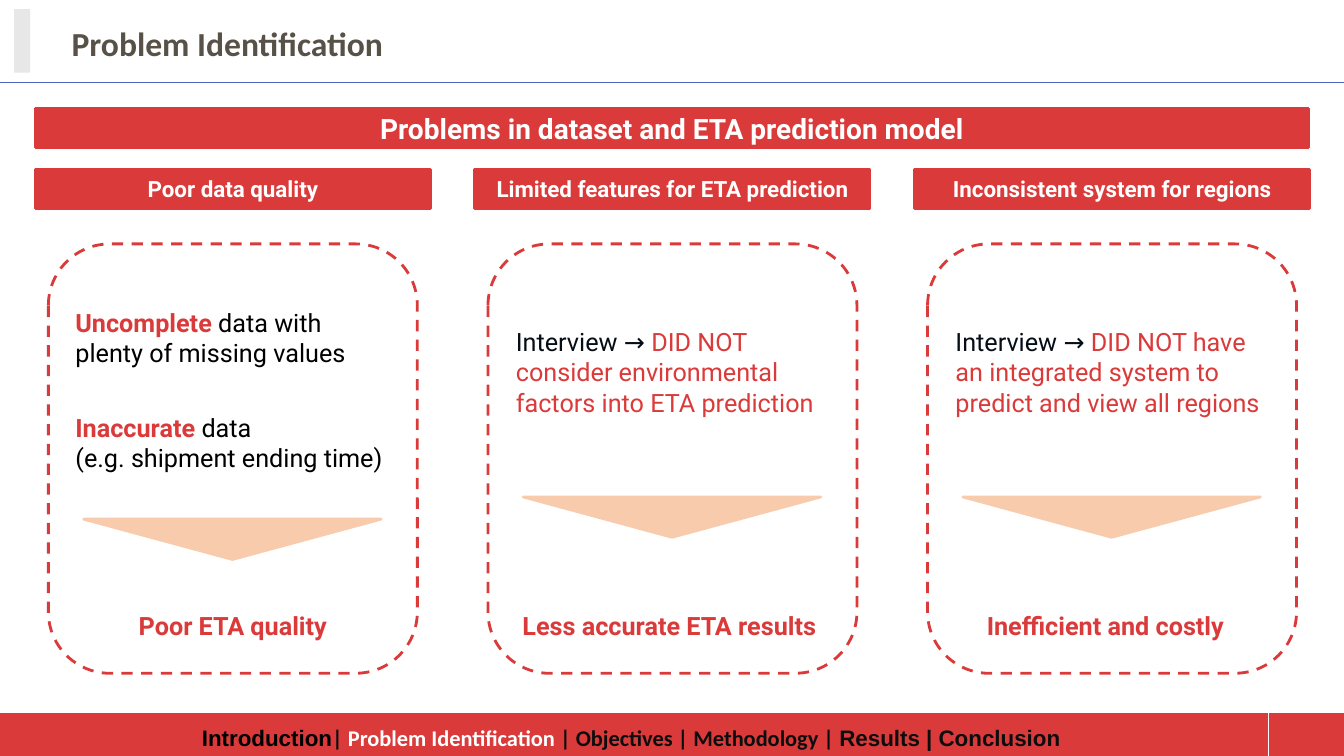
from pptx import Presentation
from pptx.dml.color import RGBColor
from pptx.enum.dml import MSO_LINE
from pptx.enum.shapes import MSO_CONNECTOR, MSO_SHAPE
from pptx.enum.text import MSO_ANCHOR, PP_ALIGN
from pptx.oxml.ns import qn
from pptx.util import Pt
from lxml import etree

RECTANGLE = MSO_SHAPE.RECTANGLE
ROUNDED = MSO_SHAPE.ROUNDED_RECTANGLE
TRIANGLE = MSO_SHAPE.ISOSCELES_TRIANGLE
STRAIGHT = MSO_CONNECTOR.STRAIGHT
DASH = MSO_LINE.DASH
TOP, MIDDLE = MSO_ANCHOR.TOP, MSO_ANCHOR.MIDDLE
LEFT, CENTER = PP_ALIGN.LEFT, PP_ALIGN.CENTER

PX = 9144
COLORS = {
    "red": "DA3B3A",
    "statement": "DA3A3A",
    "peach": "F8CBAD",
    "grey": "E7E7E7",
    "blue": "4D61BF",
    "title": "585147",
    "ink": "050E17",
    "footer": "0D0D0D",
    "black": "000000",
    "white": "FFFFFF",
}


class SlideBuilder:
    """Holds the slide and its style, and adds each kind of element."""

    def __init__(self, slide):
        self.slide = slide

    def color(self, name):
        return RGBColor.from_string(COLORS[name])

    def place(self, box):
        return [length * PX for length in box]

    def add_runs(self, frame, runs, size, align=LEFT):
        paragraph = frame.paragraphs[0]
        paragraph.alignment = align
        for text, color, bold, font in runs:
            if text == "\n":
                paragraph.add_line_break()
                continue
            run = paragraph.add_run()
            run.text = text
            run.font.name = font
            run.font.size = Pt(size)
            run.font.bold = bold
            run.font.color.rgb = self.color(color)

    def title(self, box, text):
        title = self.slide.shapes.title
        title.left, title.top, title.width, title.height = self.place(box)
        title.text_frame.vertical_anchor = MIDDLE
        self.add_runs(title.text_frame, [(text, "title", True, "Calibri")], 24)

    def shape(self, kind, box, fill=None, line=None, dash=None, rotation=0):
        shape = self.slide.shapes.add_shape(kind, *self.place(box))
        shape.shadow.inherit = False
        shape.rotation = rotation
        if fill:
            shape.fill.solid()
            shape.fill.fore_color.rgb = self.color(fill)
        else:
            shape.fill.background()
        if line:
            shape.line.color.rgb = self.color(line)
            shape.line.width = Pt(2)
            shape.line.dash_style = dash
        else:
            shape.line.fill.background()
        return shape

    def fill_text(self, shape, runs, size=18, align=LEFT, anchor=MIDDLE, top=5, right=10):
        frame = shape.text_frame
        frame.word_wrap = True
        frame.vertical_anchor = anchor
        frame.margin_top = top * PX
        frame.margin_right = right * PX
        self.add_runs(frame, [(*run, "Roboto") for run in runs], size, align)

    def banner(self, box, text, size):
        shape = self.shape(RECTANGLE, box, "red", "red")
        self.fill_text(shape, [(text, "white", True)], size, CENTER)

    def label(self, box, runs, align=LEFT, right=10):
        self.fill_text(self.shape(ROUNDED, box), runs, align=align, right=right)

    def rule(self, left, right, top):
        line = self.slide.shapes.add_connector(
            STRAIGHT, left * PX, top * PX, right * PX, top * PX)
        line.line.color.rgb = self.color("blue")
        line.line.width = Pt(0.75)
        etree.SubElement(line._element.spPr, qn("a:effectLst"))

    def footer(self, box, widths, runs):
        table = self.slide.shapes.add_table(1, len(widths), *self.place(box)).table
        table.first_row = False
        table.horz_banding = False
        for column, width in enumerate(widths):
            table.columns[column].width = width * PX
            cell = table.cell(0, column)
            cell.fill.solid()
            cell.fill.fore_color.rgb = self.color("red")
            cell.vertical_anchor = MIDDLE
        self.add_runs(table.cell(0, 0).text_frame, runs, 16, CENTER)


PROBLEMS = [
    ("Poor data quality", [], "Poor ETA quality", 515, 10),
    ("Limited features for ETA prediction",
     [("Interview → ", "ink", False),
      ("DID NOT consider environmental factors into ETA prediction", "statement", False)],
     "Less accurate ETA results", 493, 16),
    ("Inconsistent system for regions",
     [("Interview → ", "ink", False),
      ("DID NOT have an integrated system to predict and view all regions",
       "statement", False)],
     "Inefficient and costly", 493, 23),
]
DATA_ISSUES = [
    [("Uncomplete", "red", True),
     (" data with plenty of missing values", "black", False)],
    [("Inaccurate", "red", True), (" data", "black", False), ("\n", "black", False),
     ("(e.g. shipment ending time)", "black", False)],
]
SECTIONS = [
    ("Introduction", "black", True, "Arial"),
    ("| ", "footer", True, "Calibri"),
    ("Problem Identification", "white", True, "Calibri"),
    (" | Objectives | Methodology | ", "footer", True, "Calibri"),
    ("Results | Conclusion", "footer", True, "Arial"),
]
COLUMN_STEP = 436


def main():
    presentation = Presentation()
    presentation.slide_width = 1333 * PX
    presentation.slide_height = 750 * PX
    builder = SlideBuilder(presentation.slides.add_slide(presentation.slide_layouts[5]))

    builder.title((61, 8, 1102, 70), "Problem Identification")
    builder.footer((-6, 707, 1368, 51), (1264, 104), SECTIONS)
    builder.rule(0, 1333, 82)
    builder.shape(RECTANGLE, (14, 9, 16, 63), "grey")
    builder.banner((35, 108, 1263, 38), "Problems in dataset and ETA prediction model", 20)

    for index, (heading, finding, result, arrow_top, right) in enumerate(PROBLEMS):
        offset = index * COLUMN_STEP
        builder.banner((35 + offset, 168, 392, 39), heading, 16)
        panel = builder.shape(ROUNDED, (48 + offset, 242, 366, 426), line="red", dash=DASH)
        if finding:
            builder.fill_text(panel, finding, anchor=TOP, top=64)
        builder.shape(TRIANGLE, (83 + offset, arrow_top, 295, 40),
                      "peach", "peach", rotation=180)
        builder.label((61 + offset, 579, 340, 82), [(result, "red", True)], CENTER, right)

    for index, issue in enumerate(DATA_ISSUES):
        builder.label((61, 294 + index * 104, 340, 82), issue)

    presentation.save("out.pptx")


if __name__ == "__main__":
    main()
